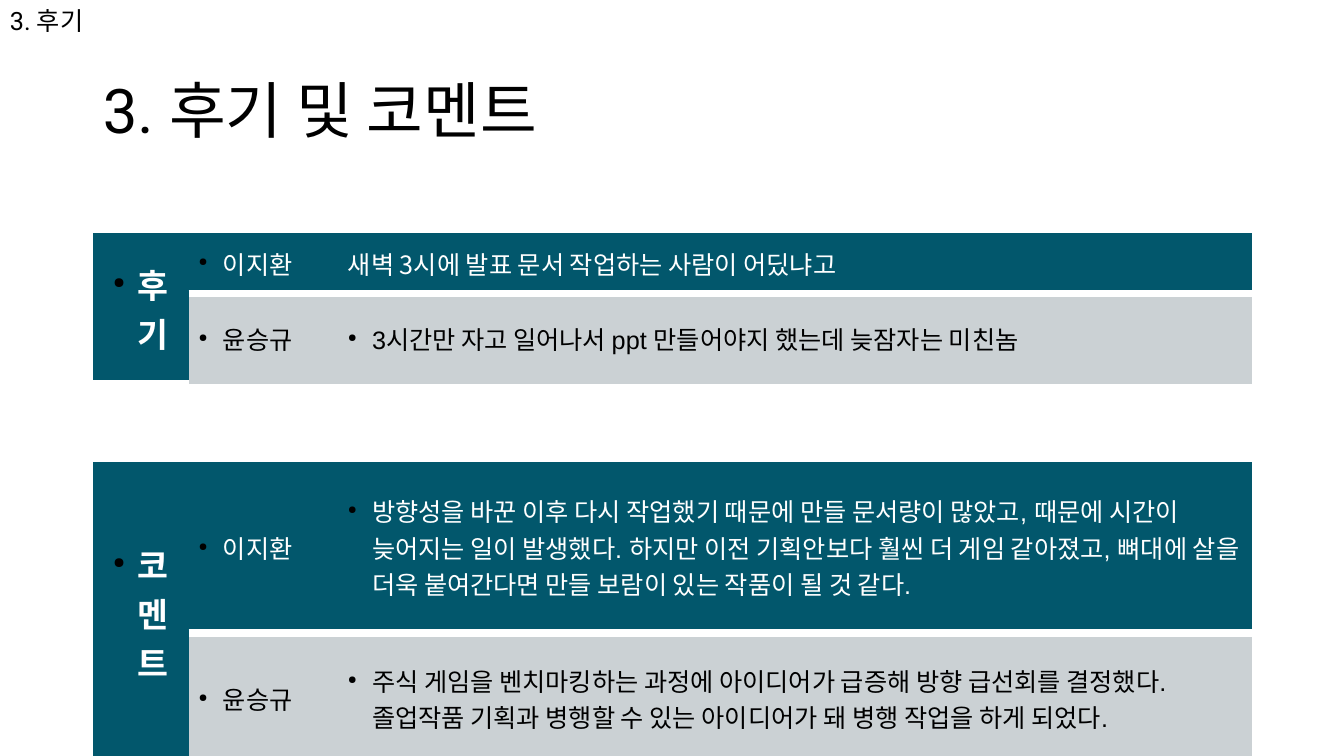
import pptx
import pptx.dml.color
import pptx.enum.text
import pptx.oxml
import pptx.oxml.ns
import pptx.util

PX = 9144  # 100 px to the inch

RGB = pptx.dml.color.RGBColor
BLACK = RGB(0x00, 0x00, 0x00)
WHITE = RGB(0xFF, 0xFF, 0xFF)
TEAL = RGB(0x02, 0x57, 0x6C)
GRAY = RGB(0xCB, 0xD1, 0xD4)

HEADING_FONT = "Roboto"
BODY_FONT = "Arial"
KOREAN_FONT = "Noto Sans CJK KR"
COLUMNS = (95, 148, 907)
MIDDLE = pptx.enum.text.MSO_ANCHOR.MIDDLE
LEFT = pptx.enum.text.PP_ALIGN.LEFT
CENTER = pptx.enum.text.PP_ALIGN.CENTER


def px(length):
    return pptx.util.Emu(length * PX)


def add_element(parent, tag, body="", attributes=""):
    namespace = pptx.oxml.ns.nsdecls("a")
    parent.append(pptx.oxml.parse_xml(
        f"<a:{tag} {namespace} {attributes}>{body}</a:{tag}>"))


class ReviewSlide:
    def __init__(self, slide):
        self.slide = slide

    def style(self, paragraph, size, font, color, bold=False):
        paragraph.font.size = pptx.util.Pt(size)
        paragraph.font.name = font
        paragraph.font.bold = bold
        paragraph.font.color.rgb = color

    def title(self, text, left, top, width, height):
        title = self.slide.shapes.title
        title.left, title.top = px(left), px(top)
        title.width, title.height = px(width), px(height)
        title.text_frame.text = text
        title.text_frame.vertical_anchor = MIDDLE
        heading = title.text_frame.paragraphs[0]
        heading.alignment = LEFT
        heading.line_spacing = 0.9
        self.style(heading, 44, HEADING_FONT, BLACK)

    def section_label(self, text, left, top, width, height):
        label = self.slide.shapes.add_textbox(
            px(left), px(top), px(width), px(height)).text_frame
        label.word_wrap = True
        label.auto_size = pptx.enum.text.MSO_AUTO_SIZE.SHAPE_TO_FIT_TEXT
        label.text = text
        self.style(label.paragraphs[0], 18, HEADING_FONT, BLACK)

    def bullet(self, paragraph):
        properties = paragraph._p.get_or_add_pPr()
        indent = 24 * PX
        properties.set("marL", str(indent))
        properties.set("indent", str(-indent))
        add_element(properties, "buClr", f'<a:srgbClr val="{BLACK}"/>')
        add_element(properties, "buSzPct", attributes='val="45000"')
        add_element(properties, "buChar", attributes='char="●"')

    def borders(self, cell, white_sides):
        properties = cell._tc.get_or_add_tcPr()
        for side in "LRTB":
            if side in white_sides:
                line = f'<a:solidFill><a:srgbClr val="{WHITE}"/></a:solidFill>'
                add_element(properties, "ln" + side, line, 'w="76200"')
            else:
                add_element(properties, "ln" + side, "<a:noFill/>", 'w="0"')

    def cell(self, cell, text, fill, color, white_sides, size=18,
             font=BODY_FONT, bold=False, bulleted=True, align=LEFT):
        self.borders(cell, white_sides)
        cell.fill.solid()
        cell.fill.fore_color.rgb = fill
        cell.vertical_anchor = MIDDLE
        cell.text = text
        paragraph = cell.text_frame.paragraphs[0]
        paragraph.alignment = align
        if bulleted:
            self.bullet(paragraph)
        self.style(paragraph, size, font, color, bold)

    def review_table(self, topic, top, heights, reviews, first_plain=False):
        table = self.slide.shapes.add_table(
            2, 3, px(92), px(top), px(sum(COLUMNS)), px(sum(heights))).table
        table.first_row = table.horz_banding = False
        for column, width in zip(table.columns, COLUMNS):
            column.width = px(width)
        for row, height in zip(table.rows, heights):
            row.height = px(height)

        # Topic down the left side
        table.cell(0, 0).merge(table.cell(1, 0))
        self.cell(table.cell(0, 0), topic, TEAL, WHITE, "B",
                  size=24, bold=True, align=CENTER)
        self.borders(table.cell(1, 0), "B")

        # One row for each writer
        row_styles = ((TEAL, WHITE, "B"), (GRAY, BLACK, "T"))
        for row, ((writer, review), row_style) in enumerate(zip(reviews, row_styles)):
            plain = first_plain and row == 0
            self.cell(table.cell(row, 1), writer, *row_style)
            self.cell(table.cell(row, 2), review, *row_style,
                      font=KOREAN_FONT if plain else BODY_FONT,
                      bulleted=not plain)


def main():
    deck = pptx.Presentation()
    deck.slide_width, deck.slide_height = px(1333), px(750)
    page = ReviewSlide(deck.slides.add_slide(deck.slide_layouts[5]))

    # Headings
    page.title("3. 후기 및 코멘트", 92, 40, 1150, 145)
    page.section_label("3. 후기", 0, 0, 411, 40)

    # Comments
    page.review_table("코멘트", 458, (170, 130), (
        ("이지환", "방향성을 바꾼 이후 다시 작업했기 때문에 만들 문서량이 많았고, "
                "때문에 시간이 늦어지는 일이 발생했다. 하지만 이전 기획안보다 훨씬 더 "
                "게임 같아졌고, 뼈대에 살을 더욱 붙여간다면 만들 보람이 있는 작품이 "
                "될 것 같다."),
        ("윤승규", "주식 게임을 벤치마킹하는 과정에 아이디어가 급증해 방향 급선회를 "
                "결정했다. 졸업작품 기획과 병행할 수 있는 아이디어가 돼 병행 작업을 "
                "하게 되었다."),
    ))

    # Reviews
    page.review_table("후기", 231, (60, 90), (
        ("이지환", "새벽 3시에 발표 문서 작업하는 사람이 어딨냐고"),
        ("윤승규", "3시간만 자고 일어나서 ppt 만들어야지 했는데 늦잠자는 미친놈"),
    ), first_plain=True)

    deck.save("out.pptx")


if __name__ == "__main__":
    main()
